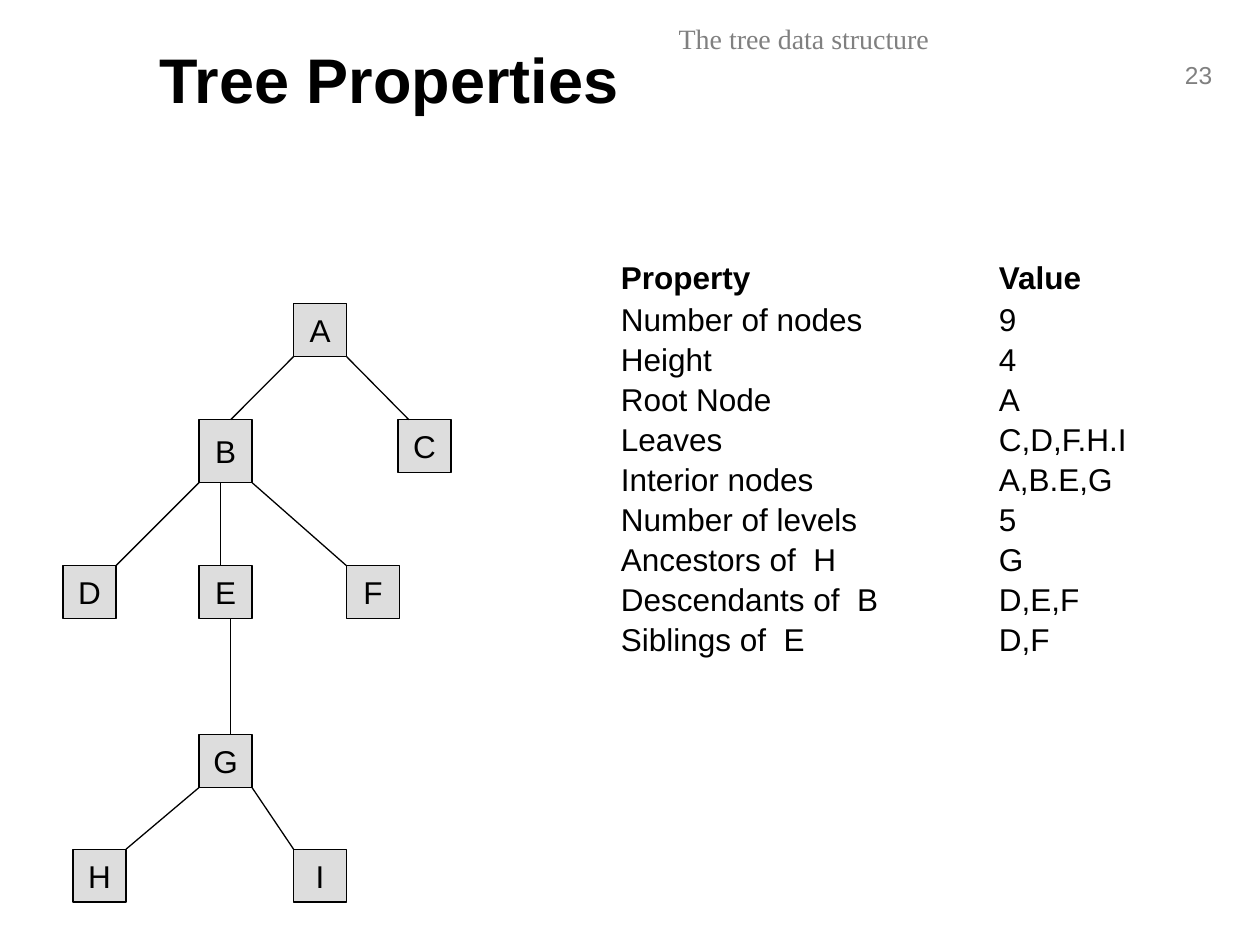
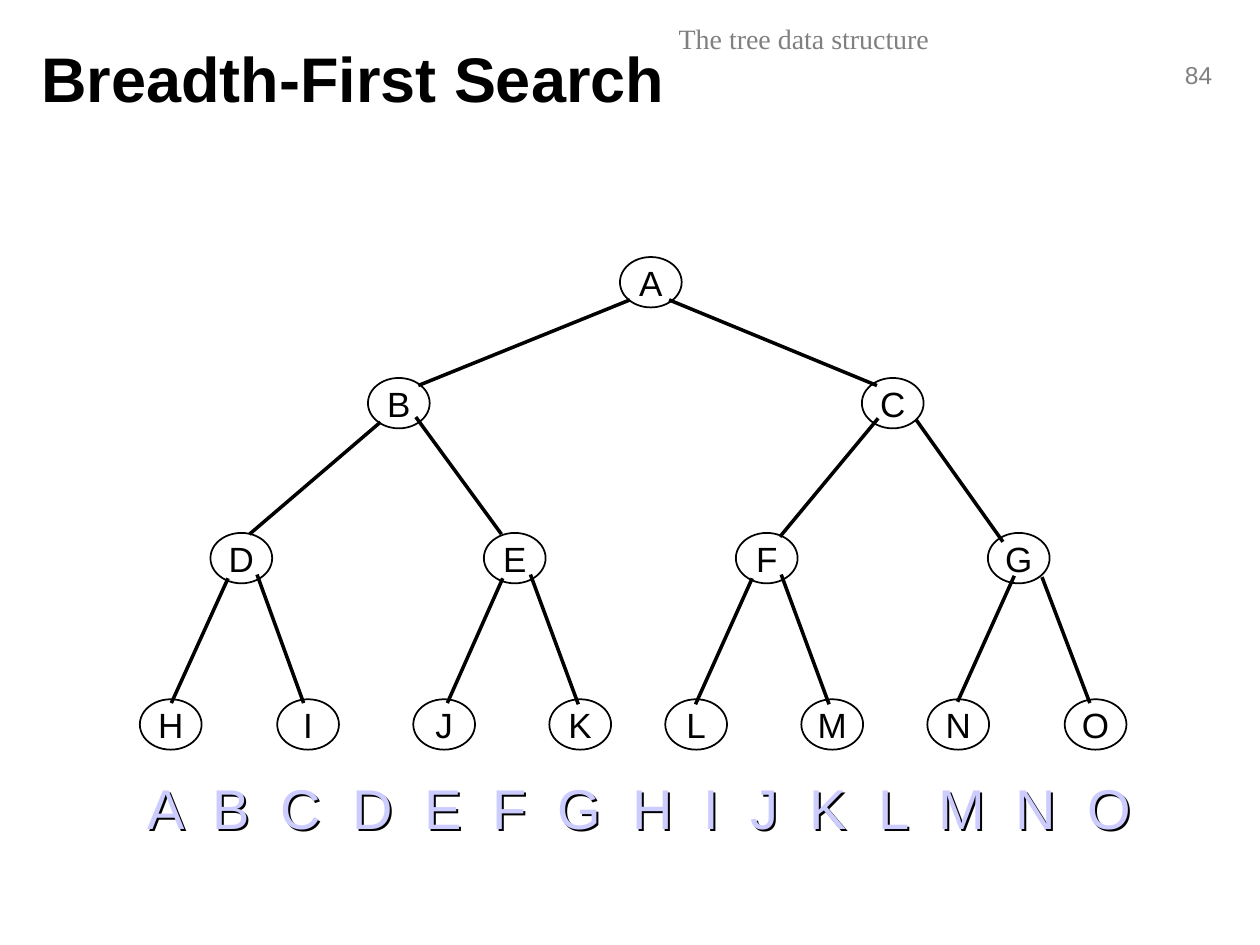
from lxml import etree
from pptx import Presentation
from pptx.dml.color import RGBColor
from pptx.enum import shapes, text
from pptx.oxml import ns
from pptx.util import Inches, Pt

BLACK = RGBColor(0x00, 0x00, 0x00)
WHITE = RGBColor(0xFF, 0xFF, 0xFF)
GRAY = RGBColor(0x80, 0x80, 0x80)
NODE_GRAY = RGBColor(0xDD, 0xDD, 0xDD)
LAVENDER = RGBColor(0xCC, 0xCC, 0xFF)

TITLE = dict(size=Pt(36), bold=True)
HEADER = dict(name="Times New Roman", size=Pt(16), color=GRAY)
NUMBER = dict(size=Pt(14), color=GRAY)
BODY = dict(size=Pt(18))
LABEL = dict(size=Pt(20))
ORDER = dict(size=Pt(32), color=LAVENDER)

LEFT, CENTER, RIGHT = (text.PP_ALIGN.LEFT, text.PP_ALIGN.CENTER,
                       text.PP_ALIGN.RIGHT)
TOP, MIDDLE = text.MSO_ANCHOR.TOP, text.MSO_ANCHOR.MIDDLE

# Property tree: name -> left, top, height; every node is NODE_SIDE wide
NODE_SIDE = 0.42
PROPERTY_NODES = {
    "A": (1.83, 0, 0.42), "B": (1.08, 0.92, 0.5), "C": (2.66, 0.92, 0.42),
    "D": (0, 2.08, 0.42), "E": (1.08, 2.08, 0.42), "F": (2.25, 2.08, 0.42),
    "G": (1.08, 3.42, 0.42), "H": (0.08, 4.33, 0.42), "I": (1.83, 4.33, 0.42),
}
# Parent, child, and where the edge meets each one as a share of its width
PROPERTY_EDGES = [
    ("A", "B", 0, 0.6), ("A", "C", 1, 0.2),
    ("B", "D", 0, 1), ("B", "E", 0.4, 0.4), ("B", "F", 1, 0),
    ("E", "G", 0.6, 0.6), ("G", "H", 0, 1), ("G", "I", 1, 0),
]
PROPERTIES = [
    ("Property", "Value"), ("Number of nodes", "9"), ("Height", "4"),
    ("Root Node", "A"), ("Leaves", "C,D,F.H.I"), ("Interior nodes", "A,B.E,G"),
    ("Number of levels", "5"), ("Ancestors of  H", "G"),
    ("Descendants of  B", "D,E,F"), ("Siblings of  E", "D,F"),
]

# Search tree: top of each level and the left edges of its nodes
SEARCH_LEVELS = [
    (0, [3.81]),
    (0.96, [1.81, 5.73]),
    (2.19, [0.56, 2.73, 4.73, 6.73]),
    (3.51, [0, 1.09, 2.17, 3.25, 4.17, 5.25, 6.25, 7.34]),
]
SEARCH_NAMES = "ABCDEFGHIJKLMNO"
OVAL_W, OVAL_H = 0.49, 0.4
# For each child from B on: edge start inside the parent, end inside the child
SEARCH_EDGE_ENDS = [
    (0.08, 0.34, 0.40, 0.06), (0.39, 0.34, 0.12, 0.06),
    (0.10, 0.35, 0.31, 0.01), (0.38, 0.31, 0.14, 0.01),
    (0.13, 0.32, 0.35, 0.03), (0.43, 0.33, 0.12, 0.07),
    (0.14, 0.36, 0.25, 0.03), (0.37, 0.33, 0.21, 0.03),
    (0.15, 0.36, 0.27, 0.03), (0.37, 0.33, 0.23, 0.04),
    (0.13, 0.36, 0.24, 0.04), (0.36, 0.33, 0.22, 0.04),
    (0.21, 0.34, 0.24, 0.02), (0.43, 0.35, 0.20, 0.03),
]


def add_run(p, content, color=BLACK, name="Arial", **font):
    r = p.add_run()
    r.text = content
    for key, value in dict(font, name=name).items():
        setattr(r.font, key, value)
    r.font.color.rgb = color
    return r


def add_text(s, box, content, font, align=LEFT, anchor=TOP, wrap=True):
    sp = s.shapes.add_textbox(*map(Inches, box))
    tf = sp.text_frame
    tf.word_wrap, tf.vertical_anchor = wrap, anchor
    p = tf.paragraphs[0]
    p.alignment = align
    add_run(p, content, **font)
    return sp


def add_node(s, kind, box, name, fill, width, font):
    sp = s.shapes.add_shape(kind, *map(Inches, box))
    sp.shadow.inherit = False
    sp.fill.solid()
    sp.fill.fore_color.rgb = fill
    sp.line.color.rgb = BLACK
    sp.line.width = Pt(width)
    tf = sp.text_frame
    for side in ("left", "top", "right", "bottom"):
        setattr(tf, f"margin_{side}", 0)
    tf.word_wrap, tf.vertical_anchor = False, MIDDLE
    p = tf.paragraphs[0]
    p.alignment = CENTER
    add_run(p, name, **font)


def add_edge(s, x1, y1, x2, y2, width):
    line = s.shapes.add_connector(shapes.MSO_CONNECTOR.STRAIGHT,
                                  *map(Inches, (x1, y1, x2, y2)))
    line.line.color.rgb = BLACK
    line.line.width = Pt(width)
    etree.SubElement(line._element.spPr, ns.qn("a:effectLst"))


def add_base(prs, title, title_box, number):
    """Add a slide with the running header, slide number and title."""
    s = prs.slides.add_slide(prs.slide_layouts[6])
    add_text(s, (9.28, 0.43, 0.44, 0.33), number, NUMBER, RIGHT, wrap=False)
    add_text(s, (3.19, 0.12, 6.38, 0.4), "The tree data structure", HEADER,
             CENTER)
    add_text(s, title_box, title, TITLE, anchor=MIDDLE)
    return s


def add_property_tree(s, left, top):
    for name, (x, y, height) in PROPERTY_NODES.items():
        add_node(s, shapes.MSO_SHAPE.RECTANGLE,
                 (left + x, top + y, NODE_SIDE, height), name, NODE_GRAY,
                 0.75, BODY)
    for parent, child, start, end in PROPERTY_EDGES:
        px, py, height = PROPERTY_NODES[parent]
        cx, cy, _ = PROPERTY_NODES[child]
        add_edge(s, left + px + start * NODE_SIDE, top + py + height,
                 left + cx + end * NODE_SIDE, top + cy, 0.75)


def add_property_list(s, box):
    tf = s.shapes.add_textbox(*map(Inches, box)).text_frame
    tf.word_wrap = True
    for i, row in enumerate(PROPERTIES):
        p = tf.add_paragraph() if i else tf.paragraphs[0]
        tabs = etree.SubElement(p._p.get_or_add_pPr(), ns.qn("a:tabLst"))
        etree.SubElement(tabs, ns.qn("a:tab"), pos=str(Inches(3)), algn="l")
        if i:
            p.line_spacing, p.space_before = 0.6, Pt(9.9)
        add_run(p, "\t".join(row), bold=i == 0, **BODY)


def add_search_tree(s, left, top):
    spots = [(left + x, top + y) for y, xs in SEARCH_LEVELS for x in xs]
    for name, (x, y) in zip(SEARCH_NAMES, spots):
        add_node(s, shapes.MSO_SHAPE.OVAL, (x, y, OVAL_W, OVAL_H), name,
                 WHITE, 1, LABEL)
    for child, (x1, y1, x2, y2) in enumerate(SEARCH_EDGE_ENDS, 1):
        px, py = spots[(child - 1) // 2]
        cx, cy = spots[child]
        add_edge(s, px + x1, py + y1, cx + x2, cy + y2, 2)


def add_visit_order(s, box):
    """Write the visited nodes as spaced letters with a hard shadow."""
    sp = add_text(s, box, " ".join(SEARCH_NAMES), ORDER, wrap=False)
    r = sp.text_frame.paragraphs[0].runs[0]
    r.font._element.set("spc", "445")
    effects = etree.SubElement(sp._element.spPr, ns.qn("a:effectLst"))
    shadow = etree.SubElement(effects, ns.qn("a:outerShdw"), dist="20000",
                              dir="2700000", algn="ctr", rotWithShape="0")
    etree.SubElement(shadow, ns.qn("a:srgbClr"), val=str(BLACK))


def build_tree_properties(prs):
    s = add_base(prs, "Tree Properties", (1.17, 0.16, 8.5, 0.92), "23")
    add_property_tree(s, 0.5, 2.41)
    add_property_list(s, (4.83, 2, 4.5, 3.54))


def build_breadth_first_search(prs):
    s = add_base(prs, "Breadth-First Search", (0.23, 0.15, 8.03, 0.93), "84")
    add_search_tree(s, 1.11, 2.04)
    add_visit_order(s, (1.07, 6.09, 8.05, 0.63))


def main():
    prs = Presentation()
    prs.slide_width, prs.slide_height = Inches(10), Inches(7.5)
    build_tree_properties(prs)
    build_breadth_first_search(prs)
    prs.save("out.pptx")


if __name__ == "__main__":
    main()
